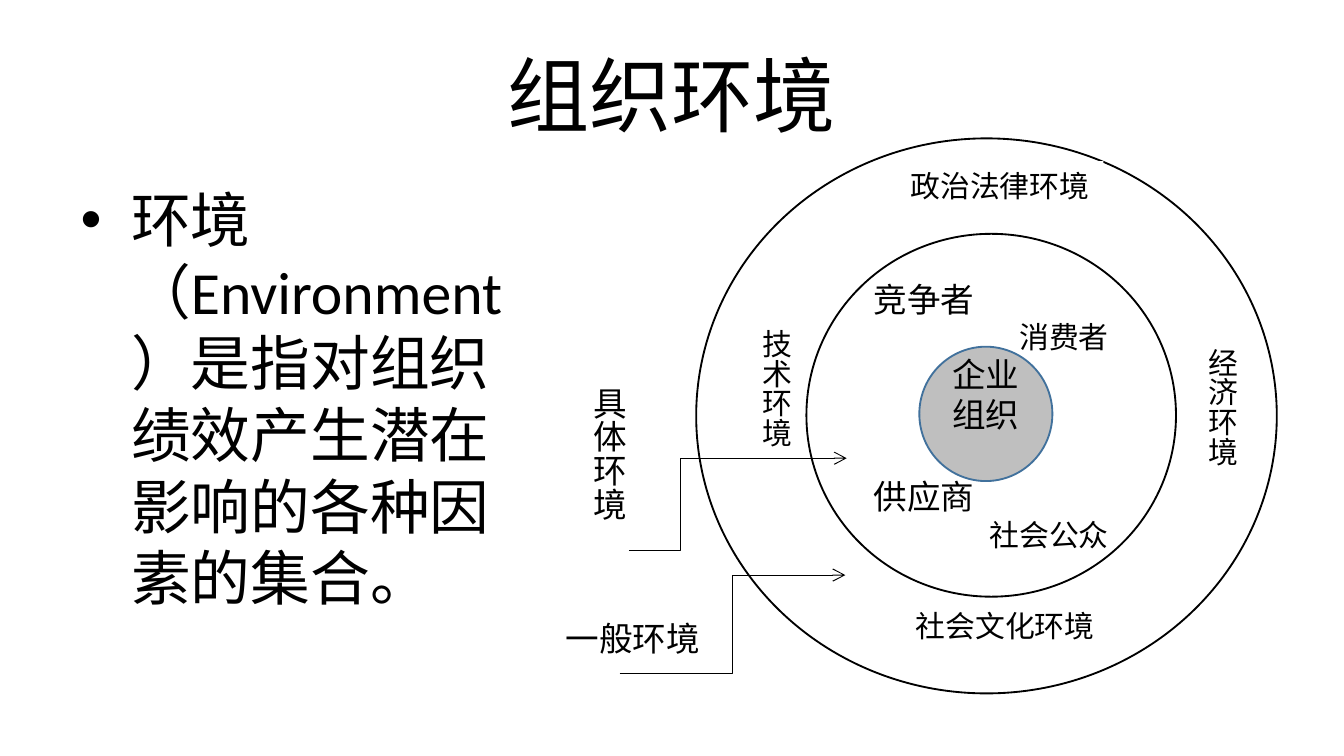
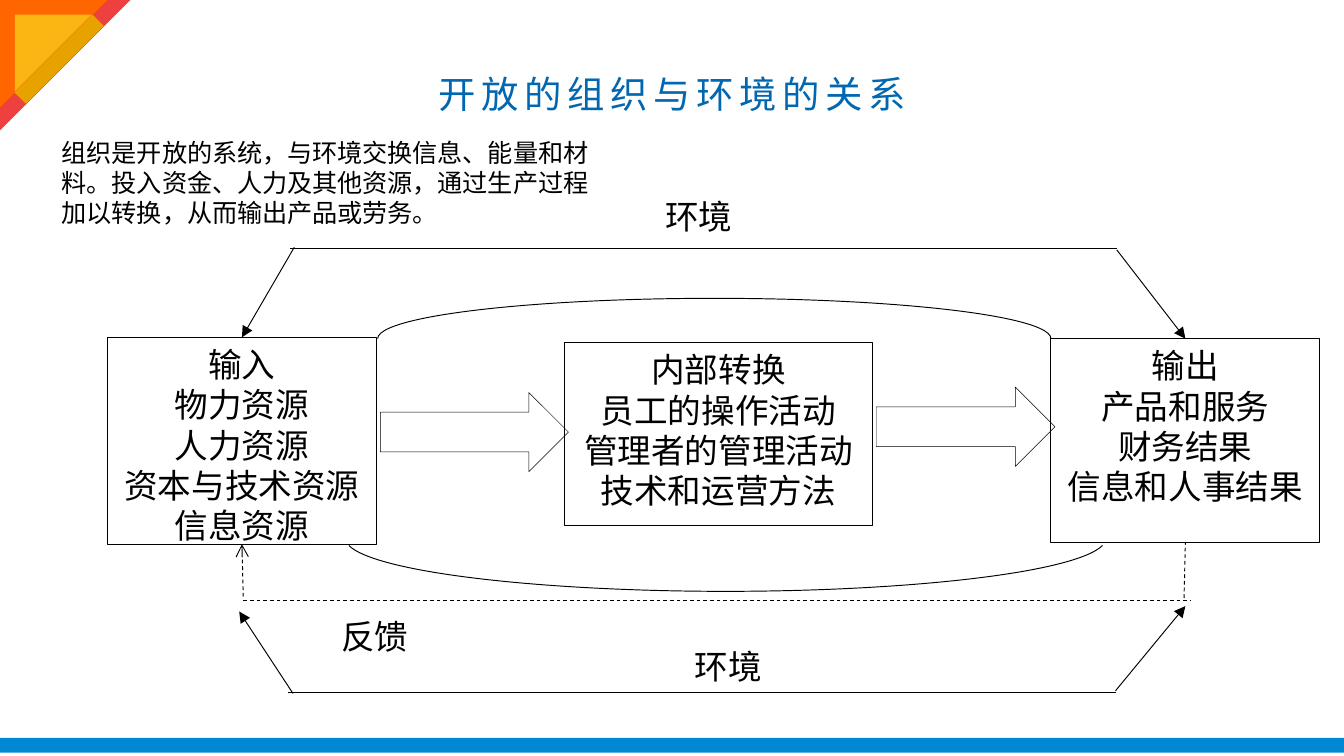
from lxml import etree
from pptx import Presentation
from pptx import util as u
from pptx.dml.color import RGBColor
from pptx.enum import dml, shapes, text
from pptx.oxml.ns import qn

PX = 9144
INK = {
    "black": "000000", "white": "FFFFFF", "gray": "BFBFBF", "steel": "41719C",
    "blue": "0067B0", "band": "0089D2", "red": "EE403F", "orange": "FF6600",
    "gold": "FBB614", "amber": "E7A200",
}
KIND = shapes.MSO_SHAPE
LINK = shapes.MSO_CONNECTOR
LEFT, MID, RIGHT = text.PP_ALIGN.LEFT, text.PP_ALIGN.CENTER, text.PP_ALIGN.RIGHT
TITLE = (50, 23, 900, 94)


def rgb(name):
    """Return the named colour."""
    return RGBColor.from_string(INK[name])


def emu(*nums):
    """Turn px lengths into EMU."""
    return [u.Emu(n * PX) for n in nums]


def style(frame, size, color="black", align=LEFT, font="Calibri"):
    """Format every run of a text frame."""
    for para in frame.paragraphs:
        para.alignment = align
        for run in para.runs:
            run.font.size = u.Pt(size)
            run.font.name = font
            run.font.color.rgb = rgb(color)


def shape(slide, box, kind, rect, fill=None, line=None, width=1, turn=0):
    """Draw a preset shape at a place within the box."""
    x, y, w, h = rect
    item = slide.shapes.add_shape(kind, *emu(box[0] + x, box[1] + y, w, h))
    item.shadow.inherit = False
    item.rotation = turn
    if fill:
        item.fill.solid()
        item.fill.fore_color.rgb = rgb(fill)
    else:
        item.fill.background()
    if line:
        item.line.color.rgb = rgb(line)
        item.line.width = u.Pt(width)
    else:
        item.line.fill.background()
    return item


def label(slide, box, rect, words, size=18, align=LEFT, line=None, tall=False):
    """Draw a white rectangle with text, upright if tall."""
    item = shape(slide, box, KIND.RECTANGLE, rect, "white", line, 0.5)
    frame = item.text_frame
    frame.text = words
    frame.vertical_anchor = text.MSO_ANCHOR.TOP
    if tall:
        frame._txBody.bodyPr.set("vert", "eaVert")
    style(frame, size, align=align)
    return item


def wire(slide, box, ends, head=None, dash=False, kind=LINK.STRAIGHT, bend=None):
    """Draw a thin connector between two points within the box."""
    x, y, to_x, to_y = ends
    item = slide.shapes.add_connector(
        kind, *emu(box[0] + x, box[1] + y, box[0] + to_x, box[1] + to_y))
    item.line.color.rgb = rgb("black")
    item.line.width = u.Pt(0.5)
    if dash:
        item.line.dash_style = dml.MSO_LINE.DASH
    prop = item._element.spPr
    if head:
        etree.SubElement(prop.find(qn("a:ln")), qn("a:tailEnd"), type=head)
    if bend:
        guide = prop.find(qn("a:prstGeom")).find(qn("a:avLst"))
        etree.SubElement(guide, qn("a:gd"), name="adj1", fmla=f"val {bend}")
    etree.SubElement(prop, qn("a:effectLst"))
    return item


def fill_in(holder, box, words, size, **look):
    """Move a placeholder, set its text and format it."""
    holder.left, holder.top, holder.width, holder.height = emu(*box)
    frame = holder.text_frame
    frame.text = words
    frame.auto_size = text.MSO_AUTO_SIZE.NONE
    style(frame, size, **look)
    return frame.paragraphs[0]


def rings(slide, box):
    """Draw the nested circles of the environment."""
    inner = shape(slide, box, KIND.OVAL, (82, 71, 275, 270), line="black")
    frame = inner.text_frame
    frame.margin_top = frame.margin_bottom = 0
    frame.text = "竞争者\n消费者\n供应商\n社会公众"
    style(frame, 18)
    for para in frame.paragraphs[1::2]:
        para.alignment = RIGHT
        para.runs[0].font.size = u.Pt(16)
    frame.paragraphs[2].space_before = u.Pt(65)
    shape(slide, box, KIND.OVAL, (0, 0, 432, 413), line="black")
    for rect, words, tall in (
        ((149, 17, 154, 46), "政治法律环境", False),
        ((19, 132, 59, 112), "技术环境", True),
        ((153, 344, 154, 45), "社会文化环境", False),
        ((365, 146, 45, 114), "经济环境", True),
    ):
        label(slide, box, rect, words, 16, LEFT if tall else MID, tall=tall)
    core = shape(slide, box, KIND.OVAL, (166, 155, 99, 100), "gray", "steel")
    frame = core.text_frame
    frame.margin_top, frame.margin_bottom = emu(0, 29)
    frame.text = "企业\n组织"
    style(frame, 18, align=MID)


def keys(slide, box):
    """Name the two rings with bent arrows."""
    wire(slide, box, (50, 223, 218, 150), "arrow", kind=LINK.ELBOW)
    label(slide, box, (0, 177, 131, 37), "一般环境")
    wire(slide, box, (57, 132, 219, 63), "arrow", kind=LINK.ELBOW, bend=23800)
    label(slide, box, (0, 0, 62, 124), "具体环境", tall=True)


def trim(slide, box):
    """Draw the corner ornament and the bottom band."""
    shape(slide, box, KIND.RECTANGLE, (0, 549, box[2], 11), "band")
    for start, side, color in ((0, 97, "red"), (0, 80, "orange"), (11, 57, "gold")):
        shape(slide, box, KIND.RIGHT_TRIANGLE, (start, start, side, side), color, turn=90)
    shape(slide, box, KIND.RECTANGLE, (38, 3, 12, 82), "amber", turn=45)


def flow(slide, box):
    """Draw input, change and output inside their environment."""
    steps = [
        label(slide, box, rect, "\n".join(lines), align=MID, line="black")
        for rect, lines in (
            ((702, 111, 200, 152),
             ("输出", "产品和服务", "财务结果", "信息和人事结果")),
            ((340, 114, 229, 136),
             ("内部转换", "员工的操作活动", "管理者的管理活动", "技术和运营方法")),
            ((0, 110, 200, 154),
             ("输入", "物力资源", "人力资源", "资本与技术资源", "信息资源")),
        )
    ]
    goal, source = steps[0], steps[-1]
    for rect in ((203, 151, 140, 59), (572, 147, 133, 59)):
        shape(slide, box, KIND.RIGHT_ARROW, rect, line="black", width=0.25)
    for rect, start, stop in (
        ((201, 81, 501, 60), 180, 0), ((177, 220, 566, 79), 1.1, 178.9),
    ):
        curve = shape(slide, box, KIND.ARC, rect, line="black", width=0.5)
        curve.adjustments[0] = start * 0.6
        curve.adjustments[1] = stop * 0.6
    for ends, head, dash, step, site in (
        ((101, 303, 100, 264), "arrow", True, source, 2),
        ((101, 306, 806, 306), None, True, None, 0),
        ((801, 304, 802, 263), None, True, goal, 2),
        ((751, 45, 802, 111), "triangle", False, goal, 0),
        ((139, 43, 100, 110), "triangle", False, source, 0),
        ((136, 44, 751, 44), None, False, None, 0),
        ((750, 373, 802, 310), "triangle", False, None, 0),
        ((138, 375, 98, 314), "triangle", False, None, 0),
        ((134, 374, 750, 374), None, False, None, 0),
    ):
        link = wire(slide, box, ends, head, dash)
        if step:
            link.end_connect(step, site)
    label(slide, box, (164, 312, 76, 39), "反馈")
    label(slide, box, (405, 0, 89, 40), "环境")
    label(slide, box, (427, 335, 84, 36), "环境")


def scene(slide):
    """Build the slide on the environment."""
    fill_in(slide.shapes.title, TITLE, "组织环境", 44, align=MID)
    fill_in(slide.placeholders[1], (50, 131, 368, 371),
            "环境（Environment）是指对组织绩效产生潜在影响的各种因素的集合。", 32)
    rings(slide, (518, 103, 432, 413))
    keys(slide, (411, 278, 219, 223))


def system(slide):
    """Build the slide on the open system."""
    head = fill_in(slide.shapes.title, TITLE, "开放的组织与环境的关系", 20,
                   color="blue", align=MID, font="Arial")
    head.runs[0].font._element.set("spc", "300")
    para = fill_in(slide.placeholders[1], (36, 97, 418, 86),
                   "组织是开放的系统，与环境交换信息、能量和材料。"
                   "投入资金、人力及其他资源，通过生产过程加以转换，"
                   "从而输出产品或劳务。", 13.5)
    prop = para._p.get_or_add_pPr()
    prop.set("marL", "0")
    prop.set("indent", "0")
    etree.SubElement(prop, qn("a:buNone"))
    trim(slide, (0, 0, 1000, 562))
    flow(slide, (80, 141, 902, 375))


def main():
    """Build and save the deck."""
    deck = Presentation()
    deck.slide_width = u.Emu(1000 * PX)
    deck.slide_height = u.Emu(deck.slide_width * 9 // 16)
    for build in (scene, system):
        build(deck.slides.add_slide(deck.slide_layouts[1]))
    deck.save("out.pptx")


if __name__ == "__main__":
    main()
